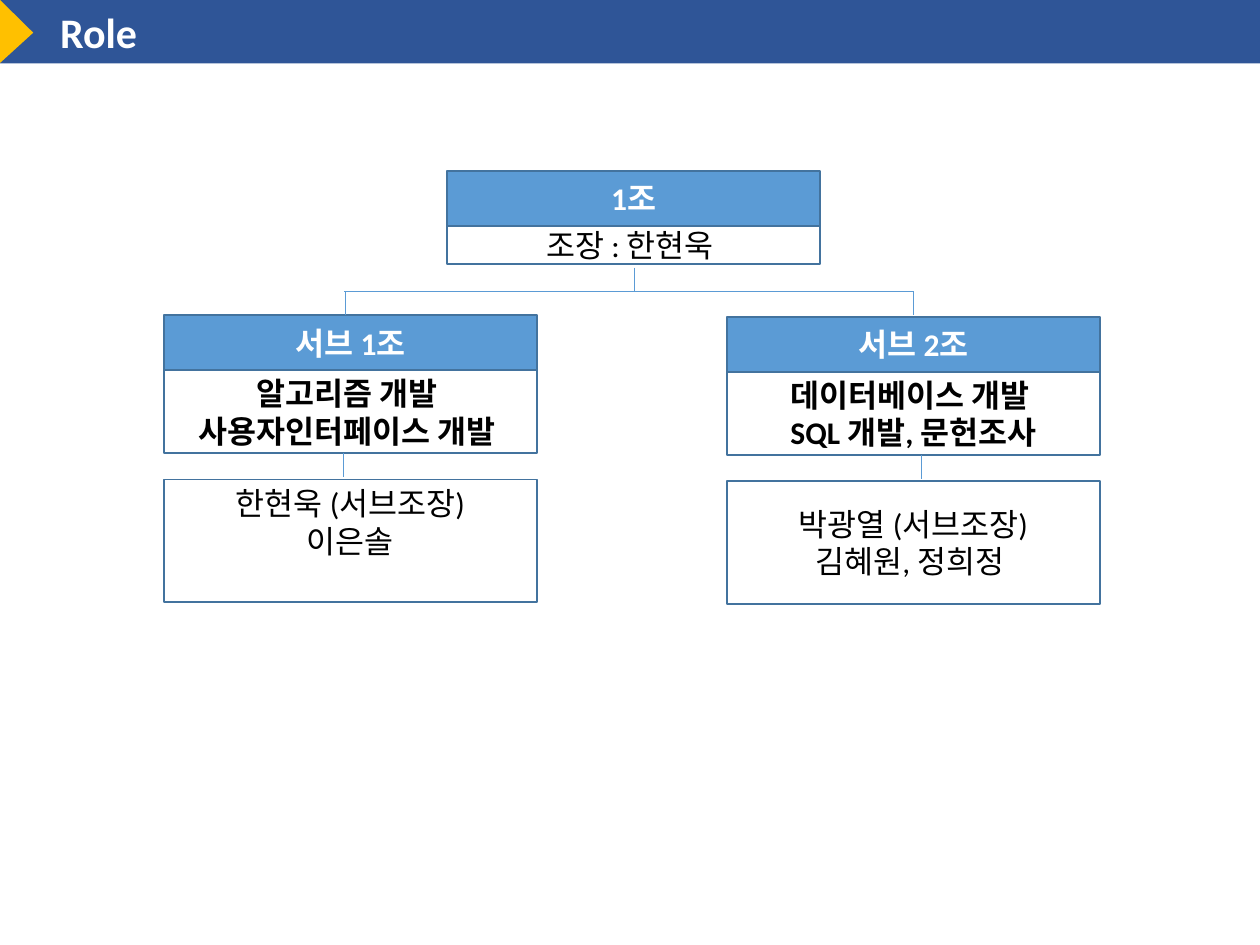
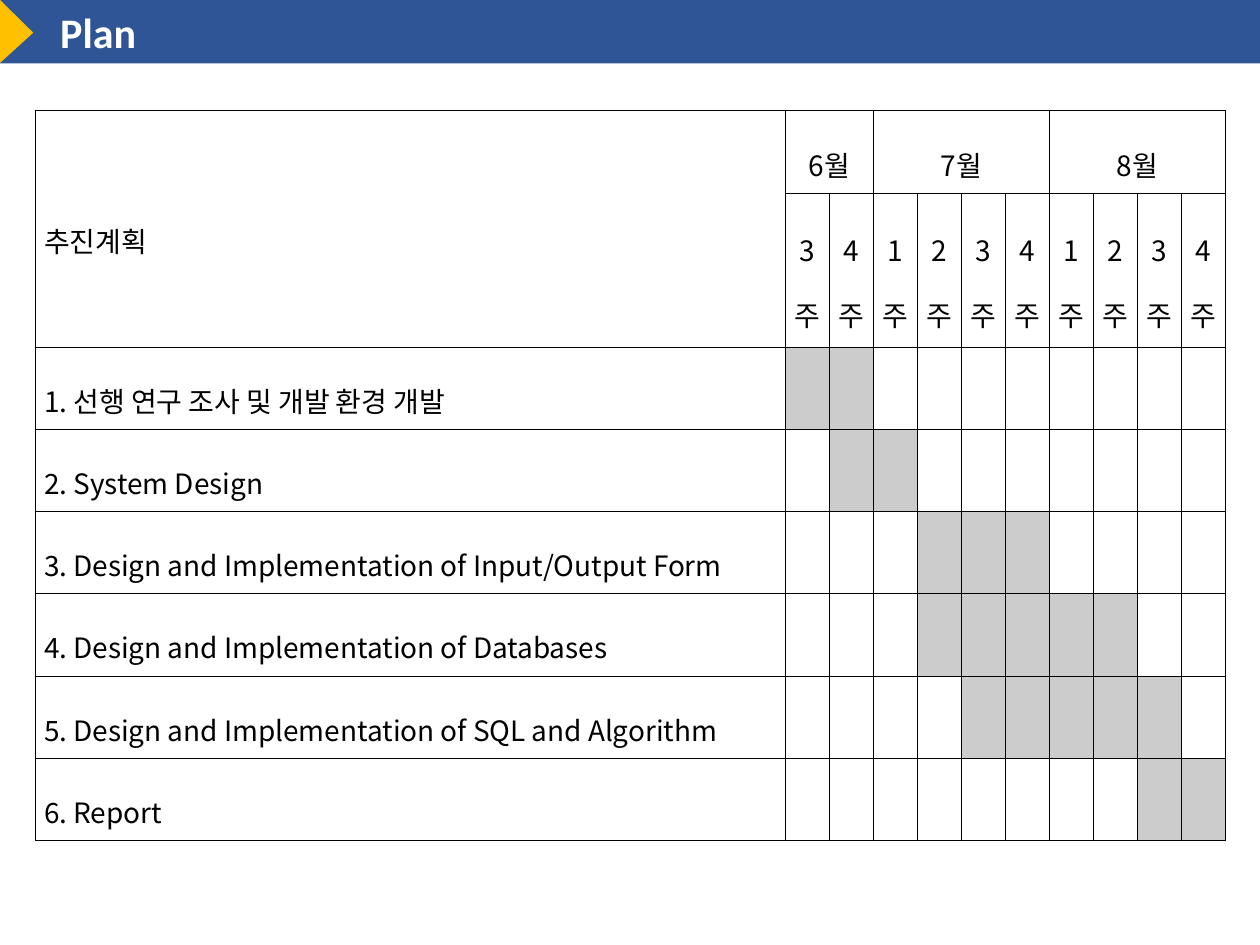
from dataclasses import dataclass
from itertools import takewhile
from typing import NamedTuple

from lxml import etree
from pptx import Presentation
from pptx.dml.color import RGBColor
from pptx.enum.shapes import MSO_CONNECTOR, MSO_SHAPE
from pptx.enum.text import MSO_ANCHOR, PP_ALIGN
from pptx.oxml.ns import qn
from pptx.util import Pt

RECT = MSO_SHAPE.RECTANGLE
WEDGE = MSO_SHAPE.ISOSCELES_TRIANGLE
LINE = MSO_CONNECTOR.STRAIGHT
TOP, MIDDLE = MSO_ANCHOR.TOP, MSO_ANCHOR.MIDDLE
LEFT, CENTER, EVEN = PP_ALIGN.LEFT, PP_ALIGN.CENTER, PP_ALIGN.JUSTIFY


@dataclass(frozen=True)
class Theme:
    navy: str = "2F5597"
    gold: str = "FFC000"
    blue: str = "5B9BD5"
    edge: str = "43739E"
    gray: str = "CCCCCC"
    black: str = "000000"
    white: str = "FFFFFF"
    face: str = "Calibri"
    asian: str = "Noto Sans CJK KR"
    title: float = 24
    label: float = 18
    cell: float = 16
    hair: float = 0.28
    thin: float = 0.5
    rim: float = 1


THEME = Theme()


class Box(NamedTuple):
    x: float
    y: float
    high: float
    lines: list[str]
    head: bool = False
    bold: bool = False
    anchor: MSO_ANCHOR = MIDDLE
    wide: float = 213.3


class Team(NamedTuple):
    x: float
    y: float
    stem: float
    name: str
    roles: list[str]
    people: list[str]
    anchor: MSO_ANCHOR


class Link(NamedTuple):
    x: float
    y: float
    across: float = 0
    down: float = 0


class Month(NamedTuple):
    name: str
    weeks: list[int]


class Task(NamedTuple):
    name: str
    first: int
    last: int


TEAMS = [
    Team(93.6, 180, 196.3, "서브 1조", ["알고리즘 개발 ", "사용자인터페이스 개발 "],
         ["한현욱 (서브조장)", "이은솔"], TOP),
    Team(415.3, 181, 526.3, "서브 2조", ["데이터베이스 개발 ", "SQL 개발, 문헌조사"],
         ["박광열 (서브조장)", "김혜원, 정희정 "], MIDDLE),
]
MONTHS = [Month("6월", [3, 4]), Month("7월", [1, 2, 3, 4]), Month("8월", [1, 2, 3, 4])]
TASKS = [
    Task("1. 선행 연구 조사 및 개발 환경 개발", 1, 2),
    Task("2. System Design", 2, 3),
    Task("3. Design and Implementation of Input/Output Form", 4, 6),
    Task("4. Design and Implementation of Databases", 4, 8),
    Task("5. Design and Implementation of SQL and Algorithm", 5, 9),
    Task("6. Report", 9, 10),
]


def paint(fill, color: str) -> None:
    fill.solid()
    fill.fore_color.rgb = RGBColor.from_string(color)


def split(line: str, face: str) -> list[tuple[str, str]]:
    if face == THEME.face:
        return [(line, face)]
    head = "".join(takewhile(str.isascii, line))
    parts = [(head, face), (line[len(head):], THEME.face)]
    return [part for part in parts if part[0]]


def write(frame, lines: list[str], *, size: float, color: str = THEME.black,
          face: str = THEME.face, bold: bool = False, align: PP_ALIGN = CENTER,
          space: float = 1) -> None:
    for i, line in enumerate(lines):
        para = frame.add_paragraph() if i else frame.paragraphs[0]
        para.alignment = align
        para.line_spacing = space
        for words, name in split(line, face):
            run = para.add_run()
            run.text = words
            font = run.font
            font.size, font.bold, font.name = Pt(size), bold, name
            font.color.rgb = RGBColor.from_string(color)
            latin = run._r.rPr.find(qn("a:latin"))
            latin.addnext(etree.Element(qn("a:ea"), typeface=THEME.asian))


def start(deck, name: str):
    slide = deck.slides.add_slide(deck.slide_layouts[5])
    title = slide.shapes.title
    title.left, title.top, title.width, title.height = Pt(0), Pt(0), Pt(720), Pt(36.3)
    paint(title.fill, THEME.navy)
    frame = title.text_frame
    frame.margin_left = Pt(34.4)
    frame.vertical_anchor = MIDDLE
    write(frame, [name], size=THEME.title, color=THEME.white, bold=True, align=LEFT)
    wedge = slide.shapes.add_shape(WEDGE, Pt(-8.5), Pt(8.5), Pt(36), Pt(19))
    wedge.adjustments[0] = 0.52
    wedge.rotation = 90
    wedge.shadow.inherit = False
    paint(wedge.fill, THEME.gold)
    wedge.line.fill.background()
    return slide


def draw_box(slide, box: Box) -> None:
    shape = slide.shapes.add_shape(RECT, Pt(box.x), Pt(box.y), Pt(box.wide), Pt(box.high))
    shape.shadow.inherit = False
    if box.head:
        paint(shape.fill, THEME.blue)
    else:
        shape.fill.background()
    paint(shape.line.fill, THEME.edge)
    shape.line.width = Pt(THEME.rim)
    frame = shape.text_frame
    frame.word_wrap = True
    frame.vertical_anchor = box.anchor
    frame.margin_top = Pt(2.4 if box.anchor == TOP else 0)
    frame.margin_bottom = Pt(0)
    write(frame, box.lines, size=THEME.label, bold=box.head or box.bold,
          color=THEME.white if box.head else THEME.black)


def draw_link(slide, link: Link) -> None:
    line = slide.shapes.add_connector(LINE, Pt(link.x), Pt(link.y),
                                      Pt(link.x + link.across), Pt(link.y + link.down))
    paint(line.line.fill, THEME.blue)
    line.line.width = Pt(THEME.thin)
    etree.SubElement(line._element.spPr, qn("a:effectLst"))


def draw_team(slide, team: Team) -> None:
    draw_box(slide, Box(team.x, team.y, 31.5, [team.name], head=True))
    draw_box(slide, Box(team.x, team.y + 31.5, 47.5, team.roles, bold=True))
    draw_box(slide, Box(team.x, team.y + 94, 70, team.people, anchor=team.anchor))
    draw_link(slide, Link(team.stem, team.y + 79, down=13.7))


def role_slide(deck) -> None:
    slide = start(deck, "Role")
    draw_box(slide, Box(255.4, 97.6, 31.5, ["1조"], head=True))
    draw_box(slide, Box(255.4, 129.1, 22, ["조장 : 한현욱 "]))
    for team in TEAMS:
        draw_team(slide, team)
    links = [Link(196.8, 166.4, across=325.2), Link(362.6, 153, down=13.4)]
    links += [Link(x, 166.4, down=13.6) for x in (197.2, 522)]
    for link in links:
        draw_link(slide, link)


def frame_cell(cell, shade: bool) -> None:
    props = cell._tc.get_or_add_tcPr()
    for side in ("a:lnL", "a:lnR", "a:lnT", "a:lnB"):
        edge = etree.SubElement(props, qn(side), w=str(Pt(THEME.hair)))
        fill = etree.SubElement(edge, qn("a:solidFill"))
        etree.SubElement(fill, qn("a:srgbClr"), val=THEME.black)
    if shade:
        paint(cell.fill, THEME.gray)
    else:
        cell.fill.background()
    cell.vertical_anchor = MIDDLE
    cell.margin_left = cell.margin_right = Pt(5)
    cell.margin_top = cell.margin_bottom = Pt(1.4)


def label(cell, words: str, align: PP_ALIGN = CENTER) -> None:
    write(cell.text_frame, [words], size=THEME.cell, face=THEME.asian,
          align=align, space=1.6)


def plan_slide(deck) -> None:
    slide = start(deck, "Plan")
    wides = [428.5] + [25.15] * sum(len(month.weeks) for month in MONTHS)
    highs = [47, 88] + [47] * len(TASKS)
    grid = slide.shapes.add_table(len(highs), len(wides), Pt(20.2), Pt(63.2),
                                  Pt(sum(wides)), Pt(sum(highs))).table
    grid.first_row = grid.horz_banding = False
    for col, wide in zip(grid.columns, wides):
        col.width = Pt(wide)
    for row, high in zip(grid.rows, highs):
        row.height = Pt(high)
    for r in range(len(highs)):
        for c in range(len(wides)):
            shade = r > 1 and TASKS[r - 2].first <= c <= TASKS[r - 2].last
            frame_cell(grid.cell(r, c), shade)

    grid.cell(0, 0).merge(grid.cell(1, 0))
    label(grid.cell(0, 0), "추진계획", EVEN)
    c = 1
    for month in MONTHS:
        end = c + len(month.weeks)
        grid.cell(0, c).merge(grid.cell(0, end - 1))
        label(grid.cell(0, c), month.name)
        for i, week in enumerate(month.weeks):
            label(grid.cell(1, c + i), f"{week}주")
        c = end
    for r, task in enumerate(TASKS, 2):
        label(grid.cell(r, 0), task.name, EVEN)


def main() -> None:
    deck = Presentation()
    deck.slide_width, deck.slide_height = Pt(720), Pt(540)
    role_slide(deck)
    plan_slide(deck)
    deck.save("out.pptx")


if __name__ == "__main__":
    main()
